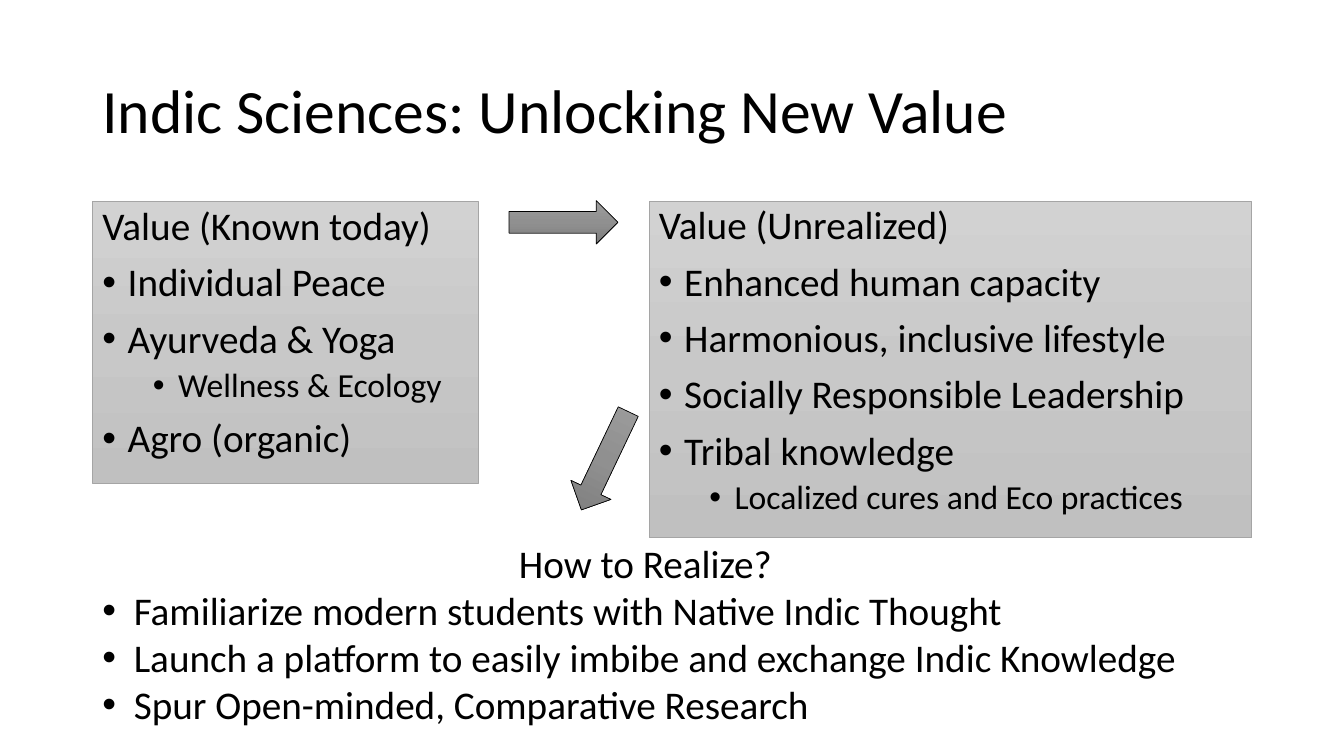
import copy
import pptx
import pptx.dml.color
import pptx.enum.shapes
import pptx.enum.text
import pptx.oxml.ns
import pptx.util

Pt = pptx.util.Pt
qn = pptx.oxml.ns.qn
MSO = pptx.enum.shapes.MSO_SHAPE
ALIGN = pptx.enum.text.PP_ALIGN
ANCHOR = pptx.enum.text.MSO_ANCHOR

# Content: boxes are left, top, width, height in points
TITLE = "Indic Sciences: Unlocking New Value"
TITLE_BOX = (66, 28.8, 828, 104.4)

# Each line is (level, text); level 0 is a heading without a bullet
VALUE_PANELS = [
    ((66, 144, 276, 201), [
        (0, "Value (Known today)"),
        (1, "Individual Peace"),
        (1, "Ayurveda & Yoga"),
        (2, "Wellness & Ecology"),
        (1, "Agro (organic)"),
    ]),
    ((463.5, 143.5, 430.5, 240.5), [
        (0, "Value (Unrealized)"),
        (1, "Enhanced human capacity"),
        (1, "Harmonious, inclusive lifestyle"),
        (1, "Socially Responsible Leadership"),
        (1, "Tribal knowledge"),
        (2, "Localized cures and Eco practices"),
    ]),
]

REALIZE_BOX = (66, 381.6, 790, 143)
REALIZE_HEADING = "How to Realize?"
REALIZE_STEPS = [
    "Familiarize modern students with Native Indic Thought",
    "Launch a platform to easily imbibe and exchange Indic Knowledge",
    "Spur Open-minded, Comparative Research",
]

ARROWS = [
    (MSO.RIGHT_ARROW, (363.6, 143.3, 77.8, 31), 0),
    (MSO.DOWN_ARROW, (416.2, 290.2, 31.7, 77.8), 25.5),
]

PANEL_GREYS = ("D2D2D2", "C8C8C8", "C0C0C0")
ARROW_GREYS = ("9D9D9D", "909090", "7C7C7C")

# level: (size, left margin, hanging indent, space before)
LEVELS = {0: (28, 0, 0, 10), 1: (28, 18, 18, 10), 2: (24, 54, 18, 5)}


def rgb(value):
    return pptx.dml.color.RGBColor.from_string(value)


def place(sp, box):
    sp.left, sp.top, sp.width, sp.height = (Pt(v) for v in box)


def add_text(tf, text, size=28, margin=0, hang=0, before=0, spacing=1.0,
             align=ALIGN.LEFT):
    """Fill the empty first paragraph of tf, or append a new one."""
    first = not tf.text
    p = tf.paragraphs[0] if first else tf.add_paragraph()
    p.alignment = align
    p.line_spacing = spacing
    p.space_before = Pt(0 if first else before)
    p.space_after = Pt(0)
    pPr = p._p.get_or_add_pPr()
    pPr.set("marL", str(Pt(margin)))
    pPr.set("indent", str(-Pt(hang)))
    if hang:
        font = pptx.oxml.ns.qn("a:buFont")
        pPr.append(pPr.makeelement(font, {"typeface": "Arial"}))
        pPr.append(pPr.makeelement(qn("a:buChar"), {"char": "•"}))
    else:
        pPr.append(pPr.makeelement(qn("a:buNone"), {}))
    r = p.add_run()
    r.text = text
    r.font.name = "Calibri"
    r.font.size = Pt(size)
    r.font.color.rgb = rgb("000000")
    return p


def paint(sp, greys, line):
    """Three-stop gradient from top to bottom with a thin outline."""
    sp.fill.gradient()
    sp.fill.gradient_angle = 270
    stops = sp._element.spPr.find(qn("a:gradFill")).find(qn("a:gsLst"))
    stops.append(copy.deepcopy(stops[-1]))
    for i, (stop, grey) in enumerate(zip(sp.fill.gradient_stops, greys)):
        stop.position = i / 2
        stop.color.rgb = rgb(grey)
    sp.line.color.rgb = rgb(line)
    sp.line.width = Pt(0.5)


prs = pptx.Presentation()
prs.slide_width, prs.slide_height = Pt(960), Pt(540)
s = prs.slides.add_slide(prs.slide_layouts.get_by_name("Two Content"))
title, *panels = s.placeholders

# Title
place(title, TITLE_BOX)
title.text_frame.vertical_anchor = ANCHOR.MIDDLE
title.text_frame.auto_size = pptx.enum.text.MSO_AUTO_SIZE.NONE
add_text(title.text_frame, TITLE, size=44, spacing=0.9)

# Value panels
for sp, (box, lines) in zip(panels, VALUE_PANELS):
    place(sp, box)
    paint(sp, PANEL_GREYS, "A5A5A5")
    tf = sp.text_frame
    tf.auto_size = pptx.enum.text.MSO_AUTO_SIZE.NONE
    for level, text in lines:
        size, margin, hang, before = LEVELS[level]
        p = add_text(tf, text, size=size, margin=margin, hang=hang,
                     before=before, spacing=0.9)
        p.level = max(level - 1, 0)

# How to realize
sp = s.shapes.add_textbox(*(Pt(v) for v in REALIZE_BOX))
tf = sp.text_frame
tf.word_wrap = True
tf.auto_size = pptx.enum.text.MSO_AUTO_SIZE.SHAPE_TO_FIT_TEXT
add_text(tf, REALIZE_HEADING, align=ALIGN.CENTER)
for step in REALIZE_STEPS:
    add_text(tf, step, margin=22.5, hang=22.5)

# Arrows
for kind, box, angle in ARROWS:
    sp = s.shapes.add_shape(kind, *(Pt(v) for v in box))
    sp.shadow.inherit = False
    sp.rotation = angle
    paint(sp, ARROW_GREYS, "000000")

prs.save("out.pptx")
